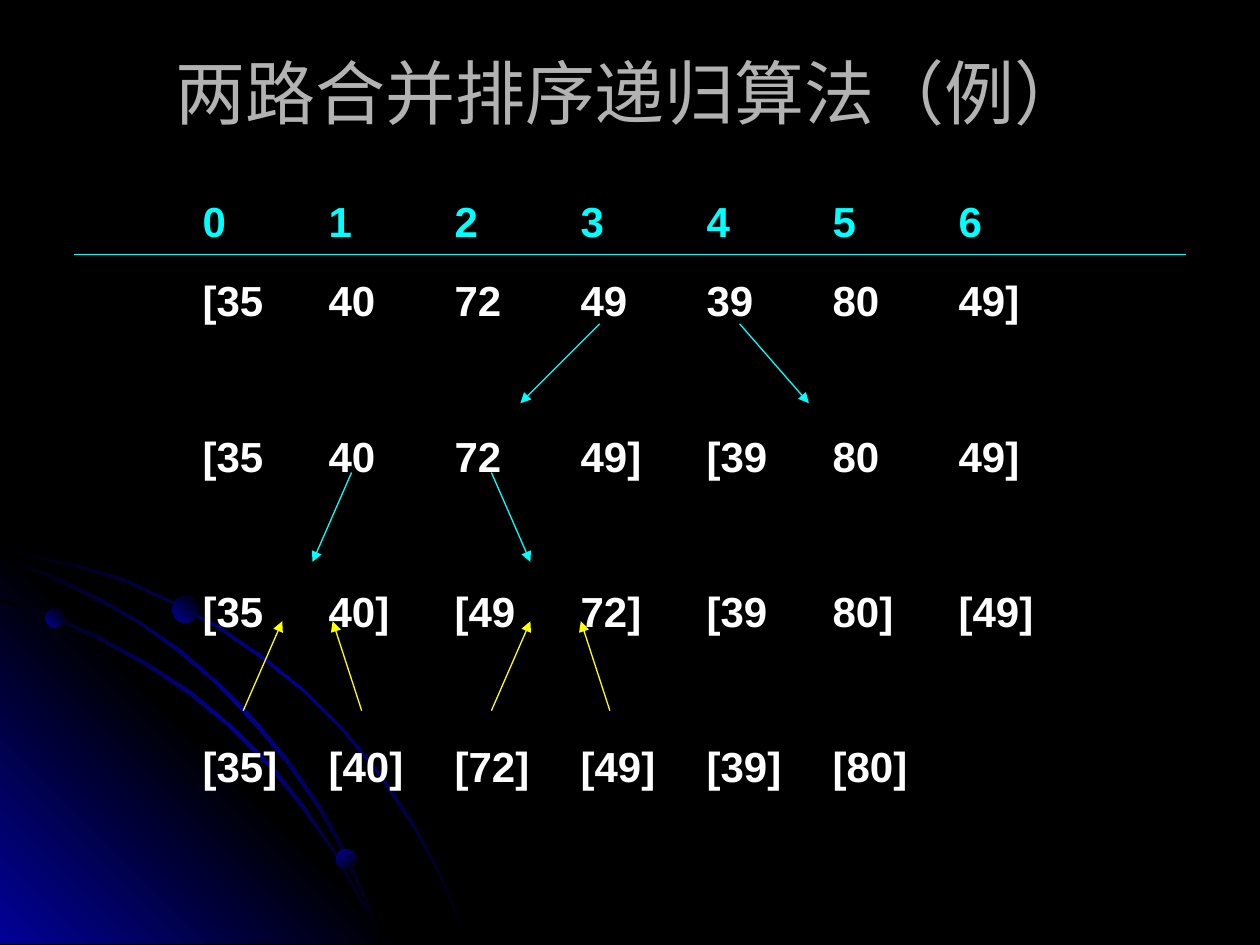
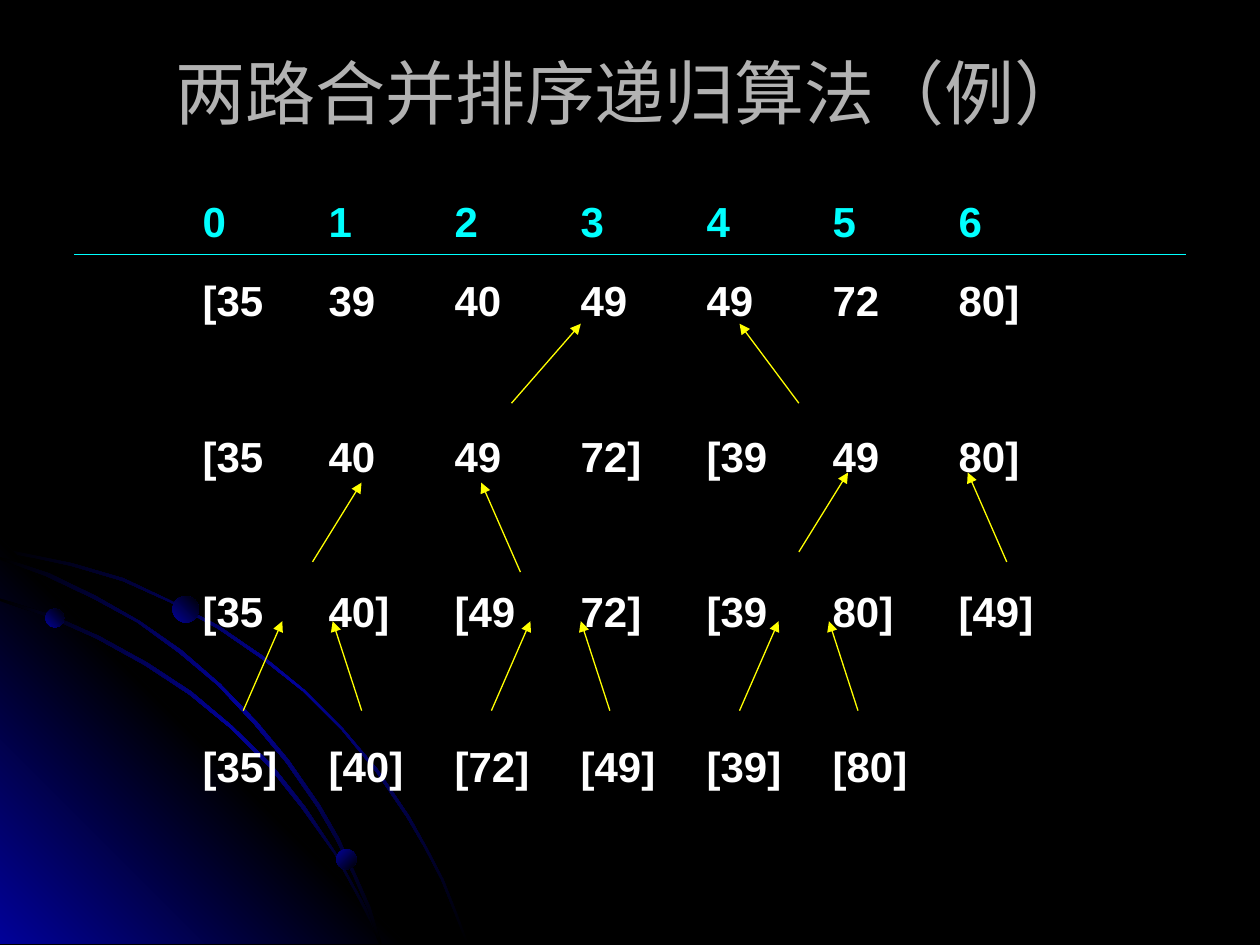
from lxml.etree import SubElement
from pptx import Presentation
from pptx.dml.color import RGBColor
from pptx.enum.shapes import MSO_CONNECTOR as Connector, MSO_SHAPE as Preset
from pptx.enum.text import MSO_ANCHOR as Anchor, PP_ALIGN as Align
from pptx.oxml.ns import qn
from pptx.util import Pt

COLORS = {
    "black": "000000",
    "blue": "010199",
    "title": "B2B2B2",
    "cyan": "00FFFF",
    "white": "FFFFFF",
    "yellow": "FFFF00",
}
FONT = "Arial"
TITLE = "两路合并排序递归算法（例）"
INDEXES = "0 1 2 3 4 5 6"
COLUMN_WIDTH = 72
FIRST_GAP, LEVEL_GAP = 16.2, 60

GLOW = ("black", "blue", "black")
CORNER = ("blue", "black", "blue")
BALL = ("blue", "black")

# Outlines on a grid of hundredths of an inch
GRID = Pt(0.72)
CORNER_OUTLINE = [(322, 749), (0, 749), (0, 427)]
ARCS = [
    [(57, 447), (28, 441), (0, 435), (0, 438), (28, 443), (56, 449), (97, 461),
     (135, 478), (173, 499), (208, 523), (241, 549), (271, 579), (298, 612),
     (323, 649), (337, 673), (350, 698), (360, 723), (370, 749), (372, 749),
     (362, 723), (352, 698), (339, 673), (325, 648), (300, 611), (272, 578),
     (242, 548), (209, 521), (174, 497), (136, 477), (98, 459)],
    [(285, 714), (294, 732), (301, 749), (303, 749), (296, 730), (286, 712),
     (266, 676), (242, 640), (215, 606), (184, 576), (152, 549), (117, 526),
     (79, 505), (41, 488), (0, 475), (0, 477), (39, 490), (77, 507),
     (115, 528), (150, 551), (183, 578), (213, 608), (240, 642), (265, 677)],
    [(0, 442), (0, 444), (36, 457), (74, 475), (109, 494), (142, 518),
     (173, 544), (202, 575), (227, 605), (252, 641), (267, 667), (280, 694),
     (292, 722), (301, 749), (303, 749), (294, 720), (282, 693), (269, 665),
     (254, 639), (229, 603), (204, 573), (175, 543), (144, 516), (111, 493),
     (76, 473), (39, 455)],
]
BALLS = [(25.9, 347.8, 10.8, 315), (192.2, 485.3, 11.5, 45), (98.6, 340.6, 15.1, 315)]

# Arrows: start x, start y, end x, end y
SPLITS = [
    (342.7, 185, 297.4, 230.4), (422.6, 185, 462.2, 230.4),
    (200.9, 270, 178.6, 321.1), (280.8, 270, 303.1, 321.1),
]
UPPER_MERGES = [
    (178.6, 321.1, 206.6, 275.8), (297.4, 326.9, 275, 275.8),
    (456.5, 315.4, 484.6, 270), (575.3, 321.1, 553, 270),
    (292.3, 230.4, 331.9, 185), (456.5, 230.4, 422.6, 185),
]

SPLITTING_LEVELS = [
    "[35 40 72 49 39 80 49]",
    "[35 40 72 49] [39 80 49]",
    "[35 40] [49 72] [39 80] [49]",
    "[35] [40] [72] [49] [39] [80]",
]
MERGED_LEVELS = [
    "[35 39 40 49 49 72 80]",
    "[35 40 49 72] [39 49 80]",
    *SPLITTING_LEVELS[2:],
]


def rgb(name):
    return RGBColor.from_string(COLORS[name])


def set_gradient(shape, colors, angle):
    """Spread the colours evenly; the angle runs clockwise in degrees."""
    shape.shadow.inherit = False
    shape.line.fill.background()
    shape.fill.gradient()
    shape.fill.gradient_angle = 360 - angle
    stops = shape._element.spPr.find(".//" + qn("a:gsLst"))
    for stop in list(stops):
        stops.remove(stop)
    for i, color in enumerate(colors):
        position = str(100000 * i // (len(colors) - 1))
        stop = SubElement(stops, qn("a:gs"), pos=position)
        SubElement(stop, qn("a:srgbClr"), val=COLORS[color])


def add_outline(slide, points, colors, angle):
    builder = slide.shapes.build_freeform(*points[0], scale=GRID)
    builder.add_line_segments(points[1:], close=True)
    set_gradient(builder.convert_to_shape(), colors, angle)


def add_backdrop(slide):
    slide.background.fill.solid()
    slide.background.fill.fore_color.rgb = rgb("black")
    add_outline(slide, ARCS[0], GLOW, 45)
    add_outline(slide, CORNER_OUTLINE, CORNER, 315)
    for arc in ARCS[1:]:
        add_outline(slide, arc, GLOW, 45)
    for left, top, size, angle in BALLS:
        ball = slide.shapes.add_shape(Preset.OVAL, Pt(left), Pt(top), Pt(size), Pt(size))
        set_gradient(ball, BALL, angle)


def add_text_frame(slide, left, top, width, height, anchor=Anchor.TOP):
    frame = slide.shapes.add_textbox(Pt(left), Pt(top), Pt(width), Pt(height)).text_frame
    frame.word_wrap = True
    frame.vertical_anchor = anchor
    return frame


def write(paragraph, text, *, size, color, bold=False, align=Align.LEFT, gap=0, tabs=0):
    """Fill a paragraph; tabs is the number of column stops."""
    paragraph.text = text
    paragraph.alignment = align
    paragraph.space_before = Pt(gap)
    if tabs:
        stops = SubElement(paragraph._p.get_or_add_pPr(), qn("a:tabLst"))
        for column in range(1, tabs + 1):
            SubElement(stops, qn("a:tab"), pos=str(Pt(column * COLUMN_WIDTH)), algn="l")
    font = paragraph.runs[0].font
    font.name, font.size, font.bold = FONT, Pt(size), bold
    font.color.rgb = rgb(color)


def add_levels(slide, levels):
    """Write the index row and, below it, one row per recursion level."""
    frame = add_text_frame(slide, 36.7, 108.4, 646.6, 340)
    gaps = [0, FIRST_GAP] + [LEVEL_GAP] * (len(levels) - 1)
    for i, (row, gap) in enumerate(zip([INDEXES, *levels], gaps)):
        paragraph = frame.add_paragraph() if i else frame.paragraphs[0]
        columns = "".join("\t" + cell for cell in row.split())
        write(paragraph, columns, size=24, bold=True, gap=gap, tabs=7,
              color="white" if i else "cyan")


def add_line(slide, x1, y1, x2, y2, color, arrow=True):
    line = slide.shapes.add_connector(Connector.STRAIGHT, Pt(x1), Pt(y1), Pt(x2), Pt(y2))
    line.line.color.rgb = rgb(color)
    line.line.width = Pt(0.75)
    if arrow:
        SubElement(line.line._get_or_add_ln(), qn("a:tailEnd"), type="triangle")
    SubElement(line._element.spPr, qn("a:effectLst"))


def leaf_merges(count):
    """Arrows that join neighbouring single items into pairs."""
    arrows = []
    for pair in range(count):
        x = 139 + 141.8 * pair
        arrows += [(x, 406.1, x + 22.3, 355), (x + 67.7, 406.1, x + 51.1, 355)]
    return arrows


def add_sort_slide(deck, levels, splits, merges):
    slide = deck.slides.add_slide(deck.slide_layouts[6])
    add_backdrop(slide)
    title = add_text_frame(slide, 36, 21.6, 648, 61.2, Anchor.MIDDLE)
    write(title.paragraphs[0], TITLE, size=40, color="title", align=Align.CENTER)
    add_levels(slide, levels)
    add_line(slide, 42.5, 145.4, 677.5, 145.4, "cyan", arrow=False)
    for color, arrows in (("cyan", splits), ("yellow", merges)):
        for arrow in arrows:
            add_line(slide, *arrow, color)


def main():
    deck = Presentation()
    deck.slide_width, deck.slide_height = Pt(720), Pt(540)
    add_sort_slide(deck, SPLITTING_LEVELS, SPLITS, leaf_merges(2))
    add_sort_slide(deck, MERGED_LEVELS, [], leaf_merges(3) + UPPER_MERGES)
    deck.save("out.pptx")


if __name__ == "__main__":
    main()
